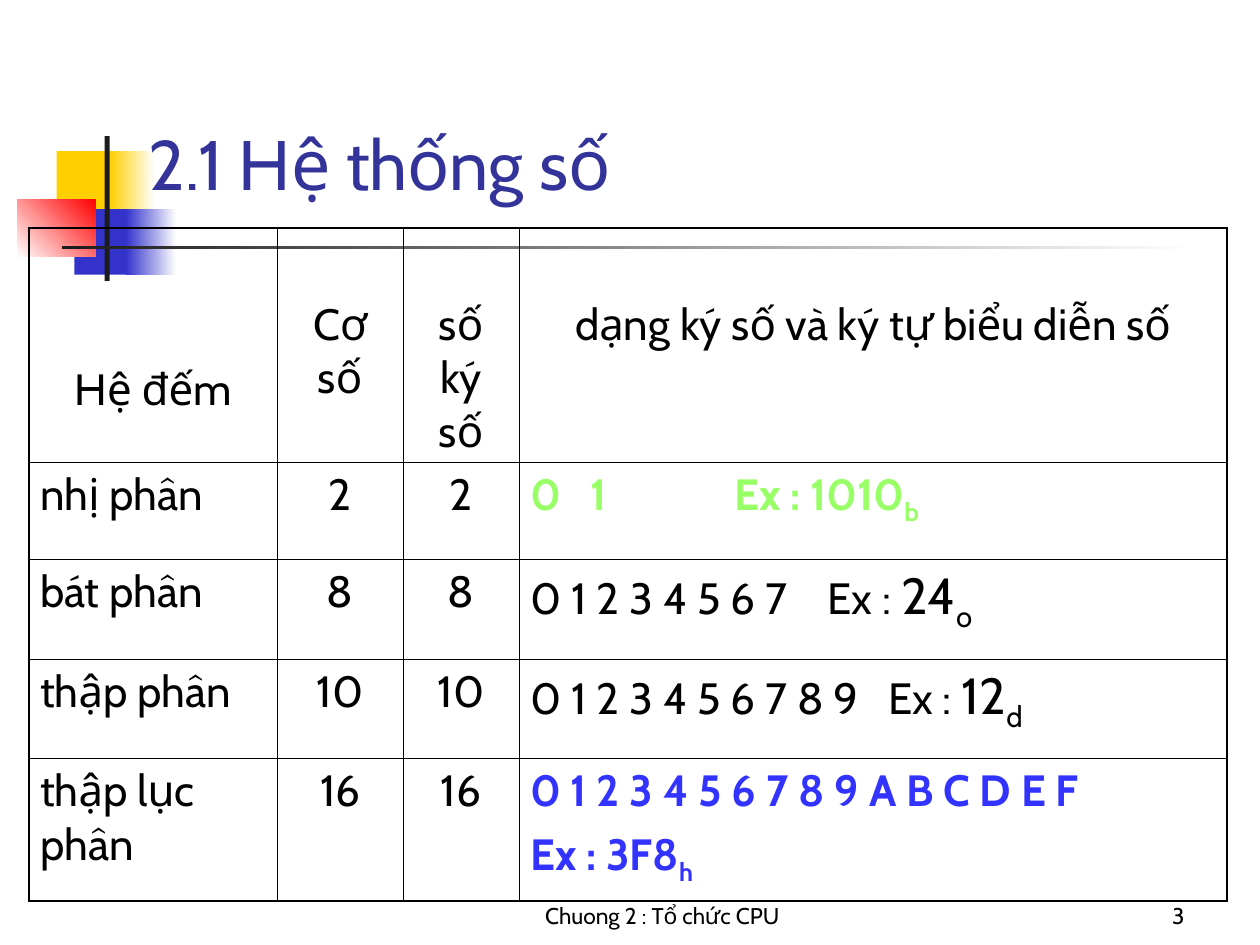
from lxml import etree
from pptx import Presentation
from pptx.dml.color import RGBColor
from pptx.enum.shapes import MSO_SHAPE
from pptx.enum.text import MSO_ANCHOR, PP_ALIGN
from pptx.oxml.ns import qn
from pptx.util import Inches, Pt

RECTANGLE = MSO_SHAPE.RECTANGLE
BOTTOM = MSO_ANCHOR.BOTTOM
LEFT, CENTER, RIGHT = PP_ALIGN.LEFT, PP_ALIGN.CENTER, PP_ALIGN.RIGHT

BLACK = RGBColor(0x00, 0x00, 0x00)
WHITE = RGBColor(0xFF, 0xFF, 0xFF)
CHARCOAL = RGBColor(0x1C, 0x1C, 0x1C)
YELLOW = RGBColor(0xFF, 0xCF, 0x01)
BLUE = RGBColor(0x33, 0x33, 0xCC)
RED = RGBColor(0xFF, 0x00, 0x00)
TITLE_BLUE = RGBColor(0x33, 0x33, 0x99)
GREEN = RGBColor(0x99, 0xFF, 0x66)
HEX_BLUE = RGBColor(0x33, 0x33, 0xFF)

FONT = "Cabin"
BODY, LARGE = 25, 29
OUTER_LINE, INNER_LINE = Pt(1.08), Pt(0.45)


def add_span(para, text, size=BODY, color=BLACK, bold=False, subscript=False):
    span = para.add_run()
    span.text = text
    span.font.name = FONT
    span.font.size = Pt(size)
    span.font.color.rgb = color
    span.font.bold = bold
    if subscript:
        span._r.get_or_add_rPr().set("baseline", "-25000")


def set_border(cell, position, side, width):
    """Insert one side's line; position keeps the order the schema asks for."""
    line = etree.Element(qn(f"a:ln{side}"), w=str(int(width)))
    fill = etree.SubElement(line, qn("a:solidFill"))
    etree.SubElement(fill, qn("a:srgbClr"), val=str(BLACK))
    cell._tc.get_or_add_tcPr().insert(position, line)


deck = Presentation()
deck.slide_width, deck.slide_height = Inches(10), Inches(7.5)
page = deck.slides.add_slide(deck.slide_layouts[6])

# Corner ornament: left, top, width, height, start colour, end colour, angle
ornament = [
    (0.45, 1.2, 0.48, 0.52, YELLOW, None, 0),
    (0.87, 1.2, 0.36, 0.52, YELLOW, WHITE, 0),
    (0.59, 1.66, 0.46, 0.52, BLUE, None, 0),
    (1, 1.66, 0.4, 0.52, BLUE, WHITE, 0),
    (0.14, 1.58, 0.62, 0.46, WHITE, RED, 45),
    (0.83, 1.08, 0.04, 1.15, CHARCOAL, None, 0),
    (0.49, 1.95, 8.99, 0.03, CHARCOAL, WHITE, 0),
]
for left, top, width, height, start, end, angle in ornament:
    block = page.shapes.add_shape(
        RECTANGLE, Inches(left), Inches(top), Inches(width), Inches(height))
    block.shadow.inherit = False
    block.line.fill.background()
    if end is None:
        block.fill.solid()
        block.fill.fore_color.rgb = start
    else:
        block.fill.gradient()
        block.fill.gradient_angle = angle
        for stop, color in zip(block.fill.gradient_stops, (start, end)):
            stop.color.rgb = color

# Footer, page number and title
labels = [
    (3.67, 6.92, 3.17, 0.5, "Chuong 2 : Tổ chức CPU", 13, BLACK, CENTER),
    (7.42, 6.92, 2.08, 0.5, "3", 13, BLACK, RIGHT),
    (1.08, 0.42, 8.52, 1.25, "2.1 Hệ thống số", 40, TITLE_BLUE, LEFT),
]
for left, top, width, height, text, size, color, align in labels:
    box = page.shapes.add_textbox(
        Inches(left), Inches(top), Inches(width), Inches(height))
    frame = box.text_frame
    frame.word_wrap = True
    frame.vertical_anchor = BOTTOM
    para = frame.paragraphs[0]
    para.alignment = align
    add_span(para, text, size, color)

# Number systems
column_widths = [1.97, 1, 0.92, 5.62]
row_heights = [1.86, 0.77, 0.79, 0.79, 1.13]
headings = ["Hệ đếm", "Cơ số", "số ký số", "dạng ký số và ký tự biểu diễn số"]
heading_tops = [1.07, 0.56, 0.56, 0.56]
green = {"color": GREEN, "bold": True}
blue = {"color": HEX_BLUE, "bold": True}
subscript = {"subscript": True}
# Name, base, tab stops in inches, paragraphs of (text, format) spans
systems = [
    ("nhị phân", "2", [0.48, 1.62],
     [[("0\t1\tEx : 1010", green), ("b", green | subscript)]]),
    ("bát phân", "8", [2.36],
     [[("0 1 2 3 4 5 6 7\tEx : ", {}), ("24", {"size": LARGE}),
       ("o", {"size": LARGE} | subscript)]]),
    ("thập phân", "10", [2.84],
     [[("0 1 2 3 4 5 6 7 8 9\tEx : ", {}), ("12", {"size": LARGE}),
       ("d", {"size": LARGE} | subscript)]]),
    ("thập lục phân", "16", [],
     [[("0 1 2 3 4 5 6 7 8 9 A B C D E F", blue)],
      [("Ex : 3F8", blue), ("h", blue | subscript)]]),
]

table = page.shapes.add_table(
    len(row_heights), len(column_widths), Inches(0.23), Inches(1.81),
    Inches(sum(column_widths)), Inches(sum(row_heights))).table
table.first_row = False
table.horz_banding = False
for column, width in zip(table.columns, column_widths):
    column.width = Inches(width)
for row, height in zip(table.rows, row_heights):
    row.height = Inches(height)

last_row, last_column = len(row_heights) - 1, len(column_widths) - 1
for row in range(len(row_heights)):
    for column in range(len(column_widths)):
        cell = table.cell(row, column)
        cell.fill.background()
        cell.margin_left = cell.margin_right = Inches(0.09)
        cell.margin_top = cell.margin_bottom = Inches(0.05)
        outer_sides = [("L", column == 0), ("R", column == last_column),
                       ("T", row == 0), ("B", row == last_row)]
        for position, (side, is_outer) in enumerate(outer_sides):
            set_border(cell, position, side, OUTER_LINE if is_outer else INNER_LINE)

for column, (heading, top) in enumerate(zip(headings, heading_tops)):
    cell = table.cell(0, column)
    cell.margin_top = Inches(top)
    para = cell.text_frame.paragraphs[0]
    para.alignment = CENTER
    add_span(para, heading)

for row, (name, base, tab_stops, digit_lines) in enumerate(systems, start=1):
    for column, (text, align) in enumerate([(name, LEFT), (base, CENTER), (base, CENTER)]):
        para = table.cell(row, column).text_frame.paragraphs[0]
        para.alignment = align
        add_span(para, text)

    frame = table.cell(row, last_column).text_frame
    for index, spans in enumerate(digit_lines):
        para = frame.add_paragraph() if index else frame.paragraphs[0]
        para.space_before = Pt(6.2)
        if tab_stops:
            tab_list = etree.SubElement(para._p.get_or_add_pPr(), qn("a:tabLst"))
            for stop in tab_stops:
                etree.SubElement(tab_list, qn("a:tab"), pos=str(Inches(stop)), algn="l")
        for text, style in spans:
            add_span(para, text, **style)

deck.save("out.pptx")
